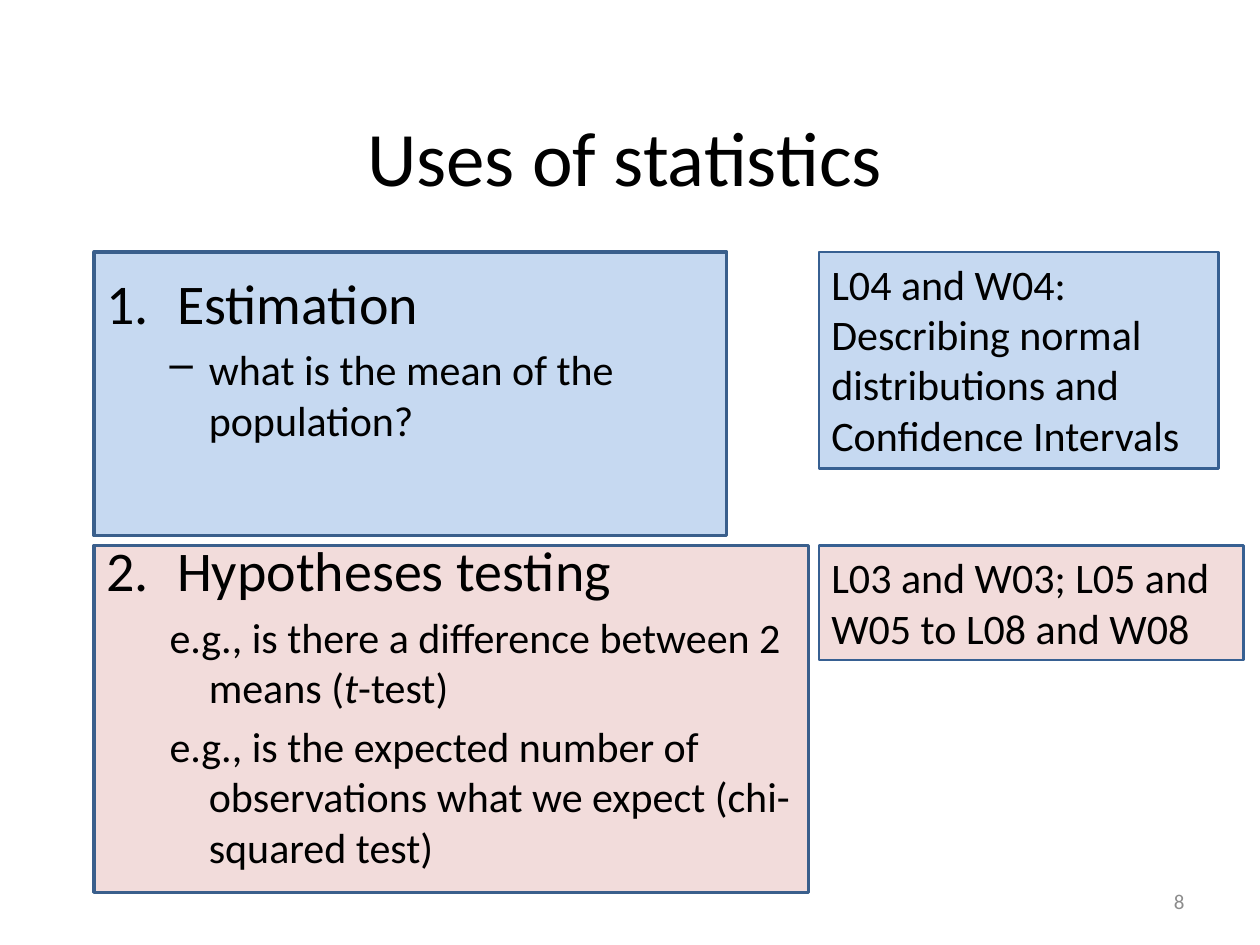
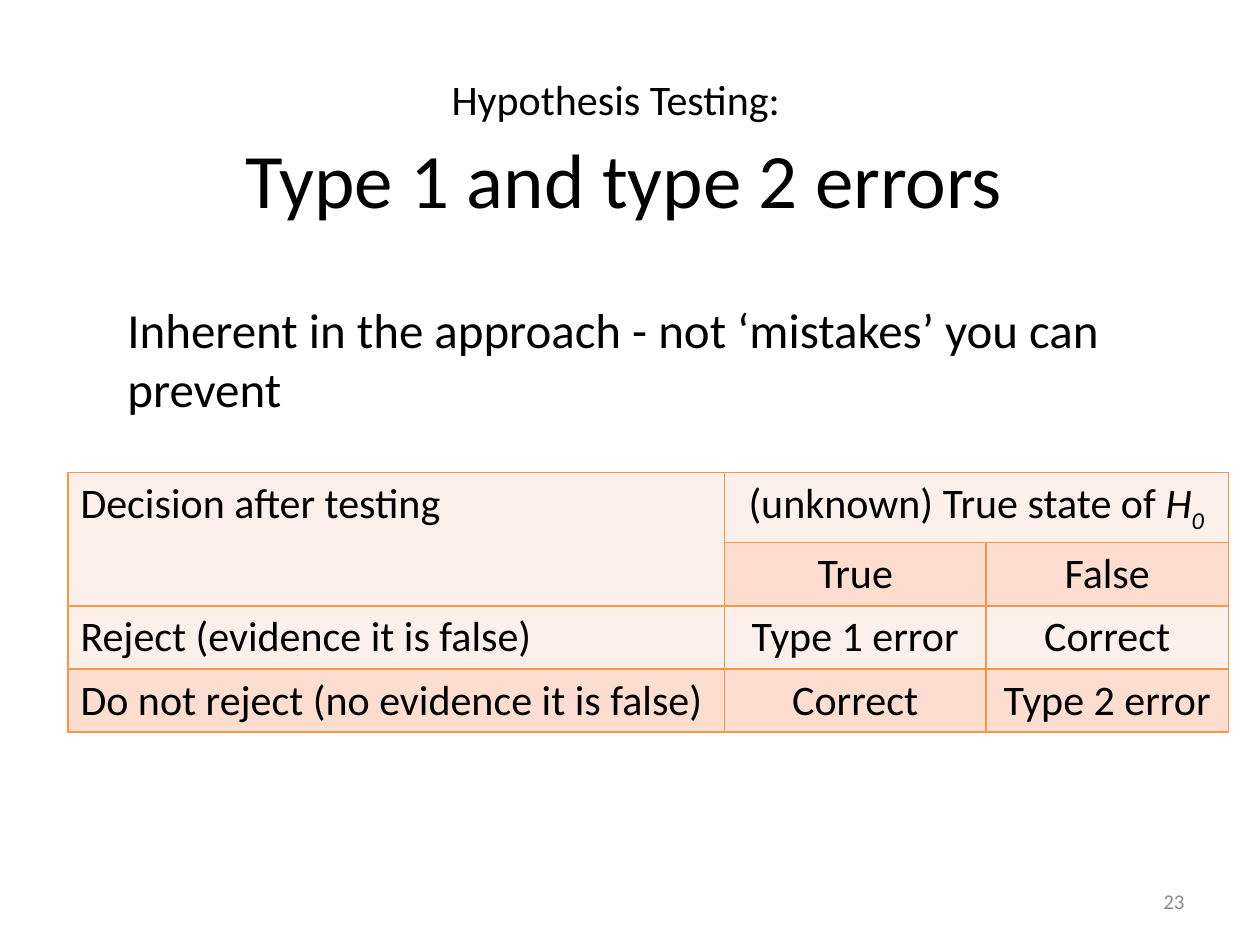
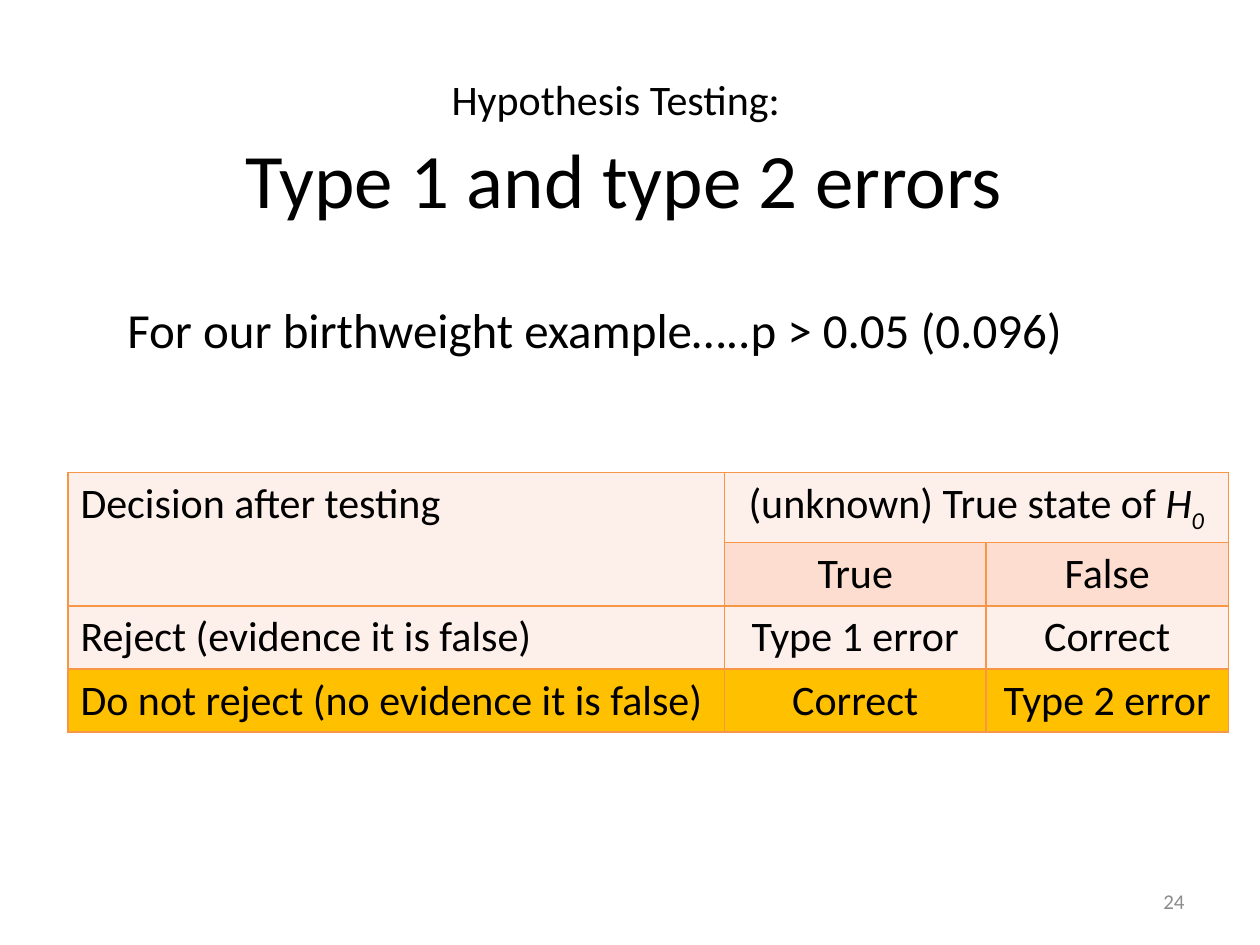
from dataclasses import dataclass

import lxml.etree
import pptx
import pptx.dml.color
import pptx.enum.shapes
import pptx.enum.text
import pptx.oxml.ns
import pptx.presentation
import pptx.shapes.autoshape
import pptx.slide
import pptx.table
import pptx.text.text
import pptx.util

Cm = pptx.util.Cm
Pt = pptx.util.Pt
LEFT, CENTER, RIGHT = (
    pptx.enum.text.PP_ALIGN.LEFT,
    pptx.enum.text.PP_ALIGN.CENTER,
    pptx.enum.text.PP_ALIGN.RIGHT,
)
MIDDLE = pptx.enum.text.MSO_ANCHOR.MIDDLE

FONT = "Calibri"
BLACK, GREY = "000000", "8C8C8C"
BLUE_FILL, PINK_FILL = "C6D9F1", "F2DCDB"
PANEL_LINE, NOTE_LINE = "3A5F8C", "376092"
LIGHT_BAND, DARK_BAND, HIGHLIGHT = "FDEFE9", "FCDDCF", "FFC000"
TABLE_LINE = "F79646"
TITLE_SIZE, HEADING_SIZE, LEAD_SIZE, TEXT_SIZE, NUMBER_SIZE = 44, 32, 28, 24, 12


@dataclass(frozen=True)
class Box:
    """Place and size in centimetres."""

    left: float
    top: float
    width: float
    height: float

    def lengths(self) -> tuple[int, int, int, int]:
        return Cm(self.left), Cm(self.top), Cm(self.width), Cm(self.height)


@dataclass(frozen=True)
class Panel:
    box: Box
    fill: str
    line: str
    line_width: float
    text: str = ""


@dataclass(frozen=True)
class Run:
    text: str
    italic: bool = False
    subscript: bool = False


@dataclass(frozen=True)
class Item:
    runs: tuple[Run, ...]
    size: float = TEXT_SIZE
    left: float = 2.06
    indent: float = -0.79
    before: float = 4.8
    number: int = 0
    dash: bool = False


@dataclass(frozen=True)
class ErrorSlide:
    number: int
    lead: str
    last_row_fill: str


TITLE_BOX = Box(1.7, 1.47, 21.79, 4.93)
USES_BOX = Box(1.9, 5.28, 14.81, 12.9)
NUMBER_BOX = Box(18.21, 17.65, 5.92, 1.02)
HEADING_BOX = Box(0.84, 0.64, 23.5, 4.01)
LEAD_BOX = Box(1.37, 5.92, 22.43, 2.74)
TABLE_BOX = Box(1.37, 9.53, 23.39, 5.08)
COLUMN_WIDTHS = (13.23, 5.28, 4.88)

PANELS = (
    Panel(Box(1.9, 11, 14.4, 6.99), PINK_FILL, PANEL_LINE, 2),
    Panel(Box(1.9, 5.08, 12.75, 5.72), BLUE_FILL, PANEL_LINE, 2),
)
NOTES = (
    Panel(Box(16.51, 5.08, 8.05, 4.37), BLUE_FILL, NOTE_LINE, 1.5,
          "L04 and W04: Describing normal distributions and Confidence Intervals"),
    Panel(Box(16.51, 11, 8.56, 2.31), PINK_FILL, NOTE_LINE, 1.5,
          "L03 and W03; L05 and W05 to L08 and W08"),
)
USES = (
    Item((Run("Estimation"),), HEADING_SIZE, 1.42, -1.42, 6.4, number=1),
    Item((Run("what is the mean of the population?"),), dash=True),
    Item((Run("Hypotheses testing"),), HEADING_SIZE, 1.42, -1.42, 52, number=2),
    Item((Run("e.g., is there a difference between 2 means ("),
          Run("t", italic=True), Run("-test)"))),
    Item((Run("e.g., is the expected number of observations "
              "what we expect (chi-squared test)"),)),
)
TABLE_ROWS = (
    ((Run("Decision after testing"),),
     (Run("(unknown) True state of "), Run("H", italic=True),
      Run("0", italic=True, subscript=True)),
     ()),
    ((), (Run("True"),), (Run("False"),)),
    ((Run("Reject (evidence it is false)"),), (Run("Type 1 error"),), (Run("Correct"),)),
    ((Run("Do not reject (no evidence it is false)"),),
     (Run("Correct"),), (Run("Type 2 error"),)),
)
ERROR_SLIDES = (
    ErrorSlide(23, "Inherent in the approach - not ‘mistakes’ you can prevent", DARK_BAND),
    ErrorSlide(24, "For our birthweight example…..p > 0.05 (0.096)", HIGHLIGHT),
)


def rgb(value: str) -> pptx.dml.color.RGBColor:
    return pptx.dml.color.RGBColor.from_string(value)


def add_element(parent, tag: str, **attributes: str):
    return lxml.etree.SubElement(parent, pptx.oxml.ns.qn(tag), attributes)


def style_paragraph(paragraph: pptx.text.text._Paragraph, size: float,
                    color: str = BLACK, alignment=LEFT) -> None:
    paragraph.alignment = alignment
    paragraph.font.name = FONT
    paragraph.font.size = Pt(size)
    paragraph.font.color.rgb = rgb(color)


def add_runs(paragraph: pptx.text.text._Paragraph, runs: tuple[Run, ...]) -> None:
    for part in runs:
        run = paragraph.add_run()
        run.text = part.text
        if part.italic:
            run.font.italic = True
        if part.subscript:
            run.font._element.set("baseline", "-25000")


def indent_paragraph(paragraph: pptx.text.text._Paragraph, left: float,
                     indent: float, before: float) -> None:
    paragraph.space_before = Pt(before)
    properties = paragraph._p.get_or_add_pPr()
    properties.set("marL", str(Cm(left)))
    properties.set("indent", str(Cm(indent)))


def add_bullet(paragraph: pptx.text.text._Paragraph, item: Item) -> None:
    """Insert the number or dash ahead of the default run properties."""
    properties = paragraph._p.get_or_add_pPr()
    if item.number:
        bullet = add_element(properties, "a:buAutoNum", type="arabicPeriod",
                             startAt=str(item.number))
    elif item.dash:
        bullet = add_element(properties, "a:buChar", char="–")
    else:
        return
    properties.find(pptx.oxml.ns.qn("a:defRPr")).addprevious(bullet)


def add_text_frame(slide: pptx.slide.Slide, box: Box) -> pptx.text.text.TextFrame:
    frame = slide.shapes.add_textbox(*box.lengths()).text_frame
    frame.word_wrap = True
    return frame


def add_line_of_text(slide: pptx.slide.Slide, box: Box, text: str, size: float,
                     color: str = BLACK, alignment=LEFT) -> pptx.text.text.TextFrame:
    frame = add_text_frame(slide, box)
    paragraph = frame.paragraphs[0]
    paragraph.text = text
    style_paragraph(paragraph, size, color, alignment)
    return frame


def add_slide_number(slide: pptx.slide.Slide, number: int) -> None:
    frame = add_line_of_text(slide, NUMBER_BOX, str(number), NUMBER_SIZE, GREY, RIGHT)
    frame.vertical_anchor = MIDDLE


def add_panel(slide: pptx.slide.Slide, panel: Panel) -> None:
    shape = slide.shapes.add_shape(
        pptx.enum.shapes.MSO_SHAPE.RECTANGLE, *panel.box.lengths())
    shape.shadow.inherit = False
    shape.fill.solid()
    shape.fill.fore_color.rgb = rgb(panel.fill)
    shape.line.color.rgb = rgb(panel.line)
    shape.line.width = Pt(panel.line_width)
    if panel.text:
        frame = shape.text_frame
        frame.word_wrap = True
        frame.vertical_anchor = pptx.enum.text.MSO_ANCHOR.TOP
        frame.paragraphs[0].text = panel.text
        style_paragraph(frame.paragraphs[0], TEXT_SIZE)


def add_uses_list(slide: pptx.slide.Slide) -> None:
    frame = add_text_frame(slide, USES_BOX)
    for index, item in enumerate(USES):
        paragraph = frame.add_paragraph() if index else frame.paragraphs[0]
        add_runs(paragraph, item.runs)
        style_paragraph(paragraph, item.size)
        indent_paragraph(paragraph, item.left, item.indent, item.before)
        add_bullet(paragraph, item)


def add_error_heading(slide: pptx.slide.Slide) -> None:
    """Add a small line over a large one; the space gives both the same height."""
    frame = add_text_frame(slide, HEADING_BOX)
    frame.vertical_anchor = MIDDLE
    paragraph = frame.paragraphs[0]
    style_paragraph(paragraph, TITLE_SIZE, alignment=CENTER)
    add_runs(paragraph, (Run("Hypothesis Testing:"), Run(" ")))
    paragraph.runs[0].font.size = Pt(TEXT_SIZE)
    paragraph.add_line_break()
    add_runs(paragraph, (Run("Type 1 and type 2 errors"),))


def style_cell(cell: pptx.table._Cell, fill: str) -> None:
    properties = cell._tc.get_or_add_tcPr()
    for side in ("a:lnL", "a:lnR", "a:lnT", "a:lnB"):
        line = add_element(properties, side, w=str(Pt(1)))
        add_element(add_element(line, "a:solidFill"), "a:srgbClr", val=TABLE_LINE)
    cell.fill.solid()
    cell.fill.fore_color.rgb = rgb(fill)


def add_error_table(slide: pptx.slide.Slide, last_row_fill: str) -> None:
    table = slide.shapes.add_table(
        len(TABLE_ROWS), len(COLUMN_WIDTHS), *TABLE_BOX.lengths()).table
    table.first_row = False
    table.horz_banding = False
    for column, width in zip(table.columns, COLUMN_WIDTHS):
        column.width = Cm(width)
    row_fills = (LIGHT_BAND, DARK_BAND, LIGHT_BAND, last_row_fill)
    for row_index, (row, fill) in enumerate(zip(TABLE_ROWS, row_fills)):
        for column_index, runs in enumerate(row):
            cell = table.cell(row_index, column_index)
            style_cell(cell, fill)
            paragraph = cell.text_frame.paragraphs[0]
            add_runs(paragraph, runs)
            style_paragraph(paragraph, TEXT_SIZE,
                            alignment=CENTER if column_index else LEFT)
    table.cell(0, 0).merge(table.cell(1, 0))
    table.cell(0, 1).merge(table.cell(0, 2))


def add_blank_slide(presentation: pptx.presentation.Presentation) -> pptx.slide.Slide:
    return presentation.slides.add_slide(presentation.slide_layouts[6])


def build_uses_slide(presentation: pptx.presentation.Presentation) -> None:
    slide = add_blank_slide(presentation)
    for panel in PANELS:
        add_panel(slide, panel)
    title = add_line_of_text(slide, TITLE_BOX, "Uses of statistics", TITLE_SIZE,
                             alignment=CENTER)
    title.vertical_anchor = MIDDLE
    title.margin_bottom = Cm(1.73)
    add_uses_list(slide)
    add_slide_number(slide, 8)
    for note in NOTES:
        add_panel(slide, note)


def build_error_slide(presentation: pptx.presentation.Presentation,
                      content: ErrorSlide) -> None:
    slide = add_blank_slide(presentation)
    lead = add_line_of_text(slide, LEAD_BOX, content.lead, LEAD_SIZE)
    indent_paragraph(lead.paragraphs[0], 0.95, 0, 5.6)
    add_slide_number(slide, content.number)
    add_error_heading(slide)
    add_error_table(slide, content.last_row_fill)


def main() -> None:
    presentation = pptx.Presentation()
    presentation.slide_width = Cm(25.4)
    presentation.slide_height = Cm(19.05)
    build_uses_slide(presentation)
    for content in ERROR_SLIDES:
        build_error_slide(presentation, content)
    presentation.save("out.pptx")


if __name__ == "__main__":
    main()
